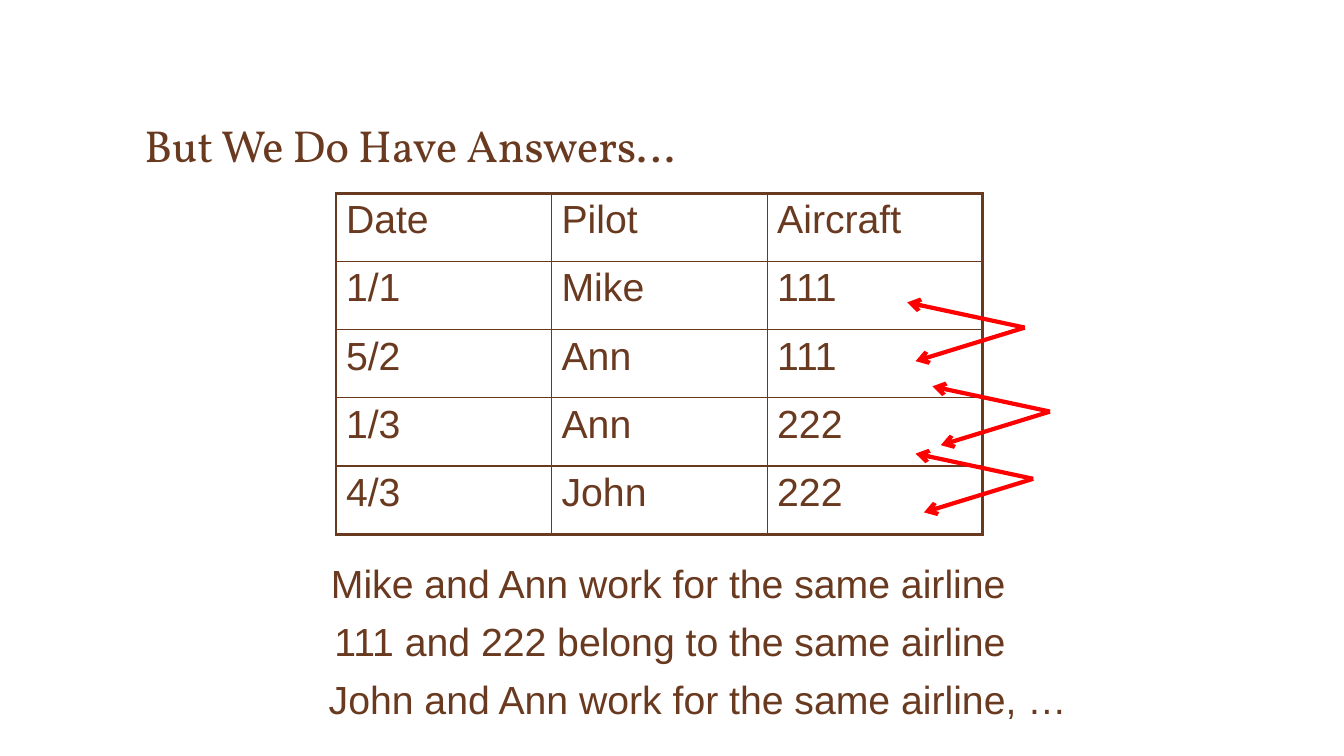
from lxml import etree
from pptx import Presentation
from pptx.dml.color import RGBColor
from pptx.enum.shapes import MSO_CONNECTOR
from pptx.enum.text import MSO_ANCHOR, MSO_AUTO_SIZE, PP_ALIGN
from pptx.oxml.ns import qn
from pptx.util import Emu, Pt

STRAIGHT = MSO_CONNECTOR.STRAIGHT
BOTTOM = MSO_ANCHOR.BOTTOM
NO_FIT, FIT_SHAPE = MSO_AUTO_SIZE.NONE, MSO_AUTO_SIZE.SHAPE_TO_FIT_TEXT
LEFT, RIGHT = PP_ALIGN.LEFT, PP_ALIGN.RIGHT

EMU_PER_PX = 9525
BROWN, RED = "6A3A20", "FF0000"
OUTER_BORDER, INNER_BORDER = 2.25, 1

FLIGHTS = [
    ("Date", "Pilot", "Aircraft"),
    ("1/1", "Mike", "111"),
    ("5/2", "Ann", "111"),
    ("1/3", "Ann", "222"),
    ("4/3", "John", "222"),
]
ANSWERS = [
    ("Mike and Ann work for the same airline", 302, 665),
    ("111 and 222 belong to the same airline", 302, 665),
    ("John and Ann work for the same airline, …", 295, 730),
]
LINK_ORIGINS = [(976, 312), (984, 456), (1000, 392)]
LINK_OFFSETS = [(-112, -24), (-104, 32)]


def px(length):
    """Turn whole pixels into EMU."""
    return Emu(round(length * EMU_PER_PX))


def rgb(hex_color):
    """Turn a hex string into a colour."""
    return RGBColor.from_string(hex_color)


def style(paragraph, font_name, size, align):
    """Set the font and alignment of a paragraph."""
    paragraph.alignment = align
    paragraph.font.name = font_name
    paragraph.font.size = Pt(size)
    paragraph.font.color.rgb = rgb(BROWN)


def add_title(slide, text, left, top, width, height):
    """Fill the title placeholder and move it to its box."""
    title = slide.shapes.title
    title.left, title.top = px(left), px(top)
    title.width, title.height = px(width), px(height)
    title.text_frame.text = text
    title.text_frame.vertical_anchor = BOTTOM
    title.text_frame.auto_size = NO_FIT
    style(title.text_frame.paragraphs[0], "Vollkorn", 32, LEFT)


def set_borders(cell, widths):
    """Draw the left, right, top and bottom borders of a cell."""
    properties = cell._tc.get_or_add_tcPr()
    for side, width in zip(("lnL", "lnR", "lnT", "lnB"), widths):
        border = etree.SubElement(properties, qn(f"a:{side}"), w=str(Pt(width)))
        fill = etree.SubElement(border, qn("a:solidFill"))
        etree.SubElement(fill, qn("a:srgbClr"), val=BROWN)


def add_flights(slide, left, top, width, height):
    """Add the flight table with a heavy frame and thin inner lines."""
    row_count, column_count = len(FLIGHTS), len(FLIGHTS[0])
    flights = slide.shapes.add_table(
        row_count, column_count, px(left), px(top), px(width), px(height)
    ).table
    flights.first_row = flights.horz_banding = False
    for r, values in enumerate(FLIGHTS):
        for c, value in enumerate(values):
            cell = flights.cell(r, c)
            cell.text = value
            style(cell.text_frame.paragraphs[0], "Arial", 28, LEFT)
            on_frame = (c == 0, c == column_count - 1, r == 0, r == row_count - 1)
            set_borders(cell, [OUTER_BORDER if edge else INNER_BORDER for edge in on_frame])
            cell.fill.background()


def add_link(slide, x, y):
    """Add a pair of arrows that spread from one point to two table rows."""
    link = slide.shapes.add_group_shape()
    for dx, dy in LINK_OFFSETS:
        arrow = link.shapes.add_connector(STRAIGHT, px(x), px(y), px(x + dx), px(y + dy))
        arrow.line.color.rgb = rgb(RED)
        arrow.line.width = Pt(3)
        properties = arrow._element.spPr
        etree.SubElement(properties.find(qn("a:ln")), qn("a:tailEnd"), type="arrow")
        etree.SubElement(properties, qn("a:effectLst"))


def add_answers(slide, top, line_height):
    """Stack the answers below the table, one box each."""
    for index, (text, left, width) in enumerate(ANSWERS):
        answer = slide.shapes.add_textbox(
            px(left), px(top + index * line_height), px(width), px(line_height)
        ).text_frame
        answer.word_wrap = False
        answer.auto_size = FIT_SHAPE
        answer.text = text
        style(answer.paragraphs[0], "Arial", 28, RIGHT)


def main():
    """Build the slide and save it."""
    presentation = Presentation()
    presentation.slide_width, presentation.slide_height = px(1280), px(720)
    slide = presentation.slides.add_slide(presentation.slide_layouts[5])
    add_title(slide, "But We Do Have Answers…", 128, 45, 1024, 123)
    add_flights(slide, 320, 184, 616, 325)
    for x, y in LINK_ORIGINS:
        add_link(slide, x, y)
    add_answers(slide, 528, 55)
    presentation.save("out.pptx")


if __name__ == "__main__":
    main()
